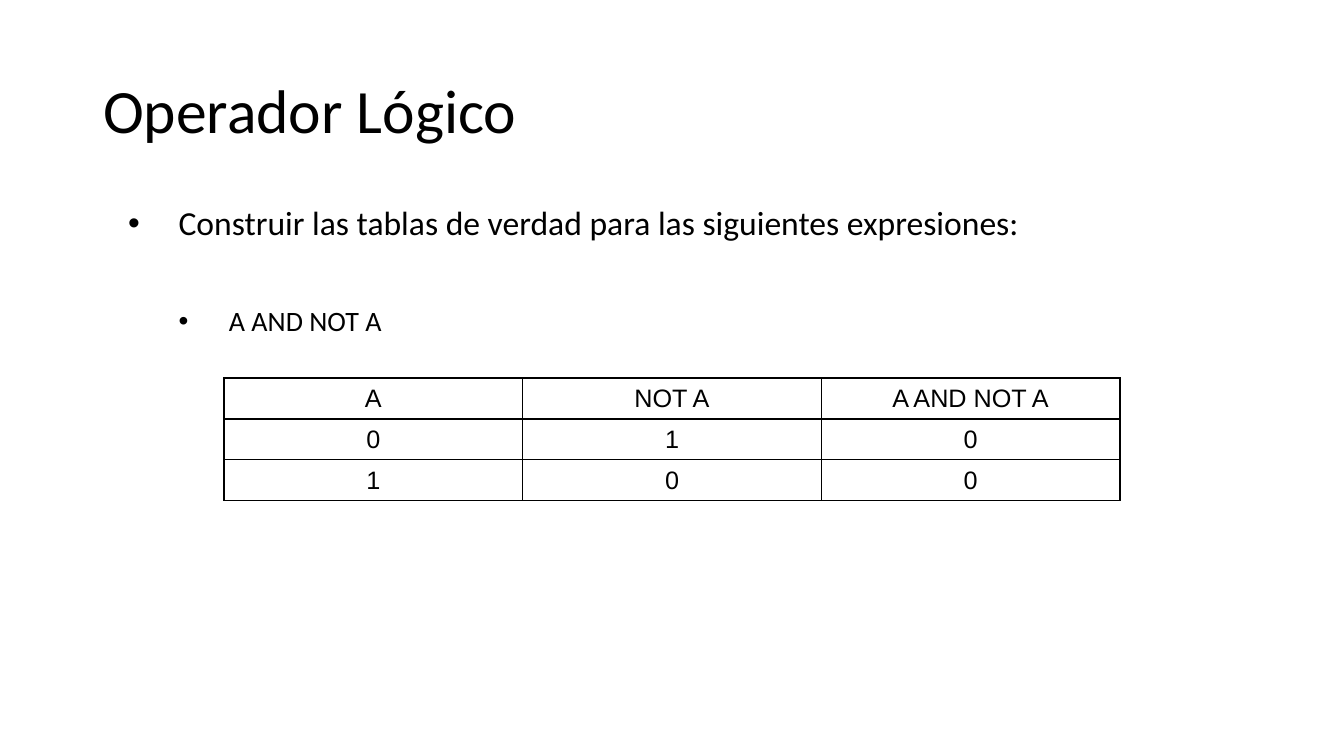
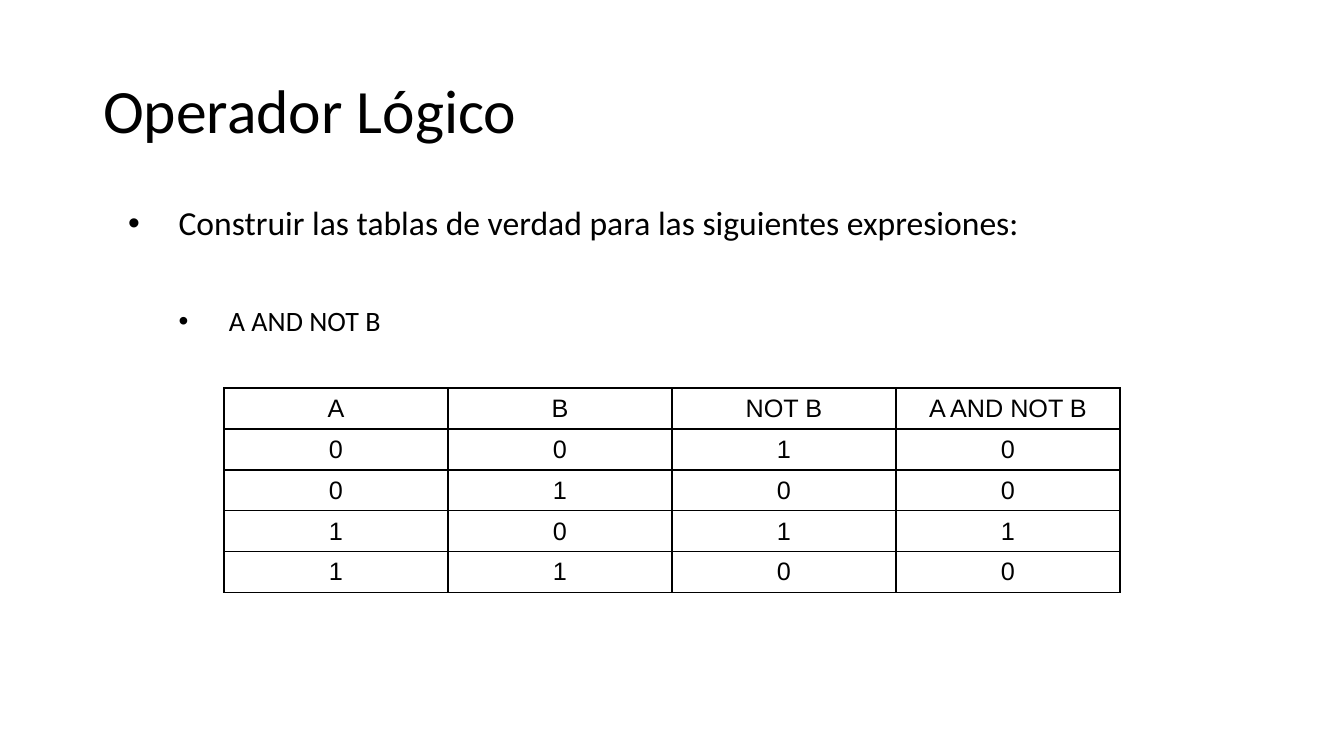
from lxml import etree
from pptx import Presentation
from pptx.dml.color import RGBColor
from pptx.enum.text import MSO_ANCHOR, PP_ALIGN
from pptx.oxml.ns import qn
from pptx.util import Inches, Pt

BLACK = RGBColor(0x00, 0x00, 0x00)
WHITE = RGBColor(0xFF, 0xFF, 0xFF)
LEFT, CENTER = PP_ALIGN.LEFT, PP_ALIGN.CENTER
TOP, MIDDLE = MSO_ANCHOR.TOP, MSO_ANCHOR.MIDDLE
TEXT_FONT, TABLE_FONT = "Calibri", "Arial"

# Grid of 12 columns by 12 rows over the whole slide
WIDTH, HEIGHT = Inches(13.33), Inches(7.5)
COLUMN, ROW = WIDTH / 12, HEIGHT / 12
MARGIN = 0.83
TABLE_LEFT, TABLE_SPAN, TABLE_ROW = 2, 8, 0.65

TITLE = "Operador Lógico"
TASK = "Construir las tablas de verdad para las siguientes expresiones:"
# Each entry: expression, top row of its table, cells
TRUTH_TABLES = [
    ("A AND NOT A", 6, [
        ("A", "NOT A", "A AND NOT A"),
        (0, 1, 0),
        (1, 0, 0),
    ]),
    ("A AND NOT B", 6.16, [
        ("A", "B", "NOT B", "A AND NOT B"),
        (0, 0, 1, 0),
        (0, 1, 0, 0),
        (1, 0, 1, 1),
        (1, 1, 0, 0),
    ]),
]


def grid(left, top, width, height):
    """Turn columns and rows into slide lengths."""
    return (round(left * COLUMN), round(top * ROW),
            round(width * COLUMN), round(height * ROW))


def write(para, text, size, font=TEXT_FONT, color=BLACK, align=LEFT,
          spacing=0.9, before=0, level=0, bullet_indent=None):
    """Fill one paragraph; bullet_indent (inches) gives it a bullet."""
    para.level = level
    if bullet_indent is not None:
        properties = para._p.get_or_add_pPr()
        properties.set("marL", str(Inches(bullet_indent)))
        properties.set("indent", str(Inches(-0.5)))
        etree.SubElement(properties, qn("a:buFont")).set("typeface", "Arial")
        etree.SubElement(properties, qn("a:buChar")).set("char", "•")
    para.alignment = align
    para.line_spacing = spacing
    para.space_before = Pt(before)
    span = para.add_run()
    span.text = text
    span.font.name = font
    span.font.size = Pt(size)
    span.font.color.rgb = color


def outline(cell):
    """Draw a one-point line on every side of a table cell."""
    properties = cell._tc.get_or_add_tcPr()
    for index, side in enumerate(("a:lnL", "a:lnR", "a:lnT", "a:lnB")):
        line = etree.Element(qn(side), w=str(Pt(1)))
        fill = etree.SubElement(line, qn("a:solidFill"))
        etree.SubElement(fill, qn("a:srgbClr")).set("val", str(BLACK))
        properties.insert(index, line)


class LogicDeck:
    def __init__(self):
        self.deck = Presentation()
        self.deck.slide_width, self.deck.slide_height = WIDTH, HEIGHT
        self.page = None

    def new_page(self, title):
        self.page = self.deck.slides.add_slide(self.deck.slide_layouts[5])
        box = self.page.shapes.title
        box.left, box.top, box.width, box.height = grid(MARGIN, 0.64, 10.35, 2.32)
        box.text_frame.vertical_anchor = MIDDLE
        write(box.text_frame.paragraphs[0], title, 44)

    def add_bullets(self, task, expression):
        box = self.page.shapes.add_textbox(*grid(MARGIN, 3.2, 9.89, 7.62))
        frame = box.text_frame
        frame.word_wrap = True
        frame.vertical_anchor = TOP
        write(frame.paragraphs[0], task, 24, bullet_indent=0.75)
        write(frame.add_paragraph(), expression, 20, before=46, level=1,
              bullet_indent=1.25)

    def add_truth_table(self, top, rows):
        place = grid(TABLE_LEFT, top, TABLE_SPAN, TABLE_ROW * len(rows))
        table = self.page.shapes.add_table(len(rows), len(rows[0]), *place).table
        for row, values in zip(table.rows, rows):
            for cell, value in zip(row.cells, values):
                cell.fill.solid()
                cell.fill.fore_color.rgb = WHITE
                cell.vertical_anchor = MIDDLE
                outline(cell)
                write(cell.text_frame.paragraphs[0], str(value), 18,
                      font=TABLE_FONT, align=CENTER, spacing=1.0)


def main():
    slides = LogicDeck()
    for expression, top, rows in TRUTH_TABLES:
        slides.new_page(TITLE)
        slides.add_bullets(TASK, expression)
        slides.add_truth_table(top, rows)
    slides.deck.save("out.pptx")


if __name__ == "__main__":
    main()
